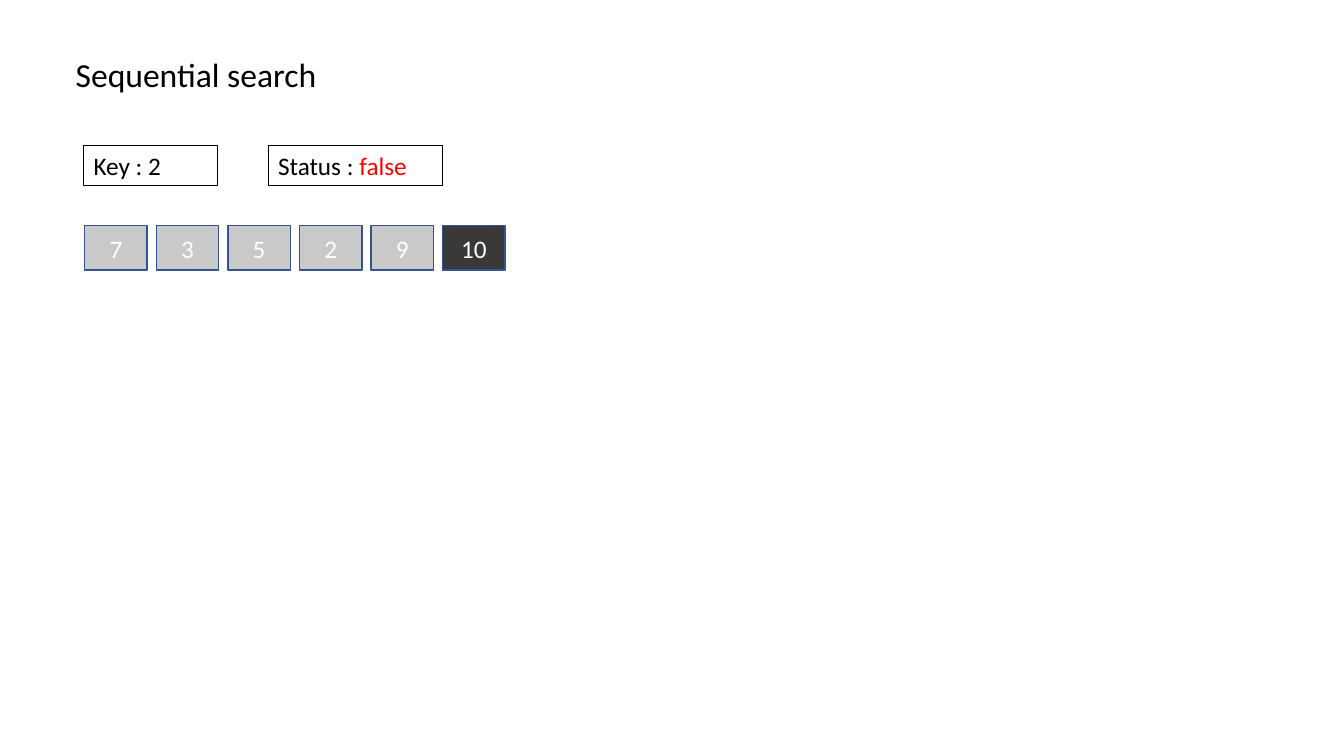
from pptx import Presentation
from pptx.dml.color import RGBColor
from pptx.enum.shapes import MSO_SHAPE
from pptx.enum.text import MSO_ANCHOR, MSO_AUTO_SIZE, PP_ALIGN
from pptx.util import Pt

BLACK = RGBColor(0x00, 0x00, 0x00)
WHITE = RGBColor(0xFF, 0xFF, 0xFF)
RED = RGBColor(0xFF, 0x00, 0x00)
GREY = RGBColor(0xC9, 0xC9, 0xC9)
DARK = RGBColor(0x3B, 0x38, 0x38)
BLUE = RGBColor(0x32, 0x54, 0x91)

TITLE = "Sequential search"
VALUES = [7, 3, 5, 2, 9, 10]
CURRENT_INDEX = 5
# left, width, runs as (text, colour)
LABELS = [
    (83, 133, [("Key : 2", BLACK)]),
    (266, 173, [("Status : ", BLACK), ("false", RED)]),
]

EMU_PER_PX = 9144  # 100 px to the inch
SLIDE_SIZE = (1333, 750)
TITLE_BOX = (65, 53, 1218, 658)
LABEL_TOP, LABEL_HEIGHT = 144, 40
CELL_LEFT, CELL_TOP, CELL_WIDTH, CELL_HEIGHT = 84, 224, 62, 44
CELL_PITCH = 71


def px(*lengths):
    return [length * EMU_PER_PX for length in lengths]


def add_runs(paragraph, runs, size):
    for text, colour in runs:
        run = paragraph.add_run()
        run.text = text
        run.font.name = "Calibri"
        run.font.size = Pt(size)
        run.font.color.rgb = colour


def add_title(slide):
    title = slide.shapes.title
    title.left, title.top, title.width, title.height = px(*TITLE_BOX)
    frame = title.text_frame
    frame.vertical_anchor = MSO_ANCHOR.TOP
    frame.auto_size = MSO_AUTO_SIZE.NONE
    paragraph = frame.paragraphs[0]
    paragraph.alignment = PP_ALIGN.LEFT
    paragraph.line_spacing = 0.9
    paragraph.space_before = Pt(10)
    add_runs(paragraph, [(TITLE, BLACK)], 24)


def add_cell(slide, index, value):
    left = CELL_LEFT + index * CELL_PITCH
    cell = slide.shapes.add_shape(
        MSO_SHAPE.RECTANGLE, *px(left, CELL_TOP, CELL_WIDTH, CELL_HEIGHT))
    cell.shadow.inherit = False
    cell.fill.solid()
    cell.fill.fore_color.rgb = DARK if index == CURRENT_INDEX else GREY
    cell.line.color.rgb = BLUE
    cell.line.width = Pt(1)
    cell.text_frame.vertical_anchor = MSO_ANCHOR.MIDDLE
    paragraph = cell.text_frame.paragraphs[0]
    paragraph.alignment = PP_ALIGN.CENTER
    add_runs(paragraph, [(str(value), WHITE)], 18)


def add_label(slide, left, width, runs):
    label = slide.shapes.add_textbox(*px(left, LABEL_TOP, width, LABEL_HEIGHT))
    label.line.color.rgb = BLACK
    label.line.width = Pt(0.75)
    label.text_frame.word_wrap = True
    label.text_frame.auto_size = MSO_AUTO_SIZE.SHAPE_TO_FIT_TEXT
    add_runs(label.text_frame.paragraphs[0], runs, 18)


def main():
    presentation = Presentation()
    presentation.slide_width, presentation.slide_height = px(*SLIDE_SIZE)
    slide = presentation.slides.add_slide(presentation.slide_layouts[5])
    add_title(slide)
    for index, value in enumerate(VALUES):
        add_cell(slide, index, value)
    for left, width, runs in LABELS:
        add_label(slide, left, width, runs)
    presentation.save("out.pptx")


if __name__ == "__main__":
    main()
